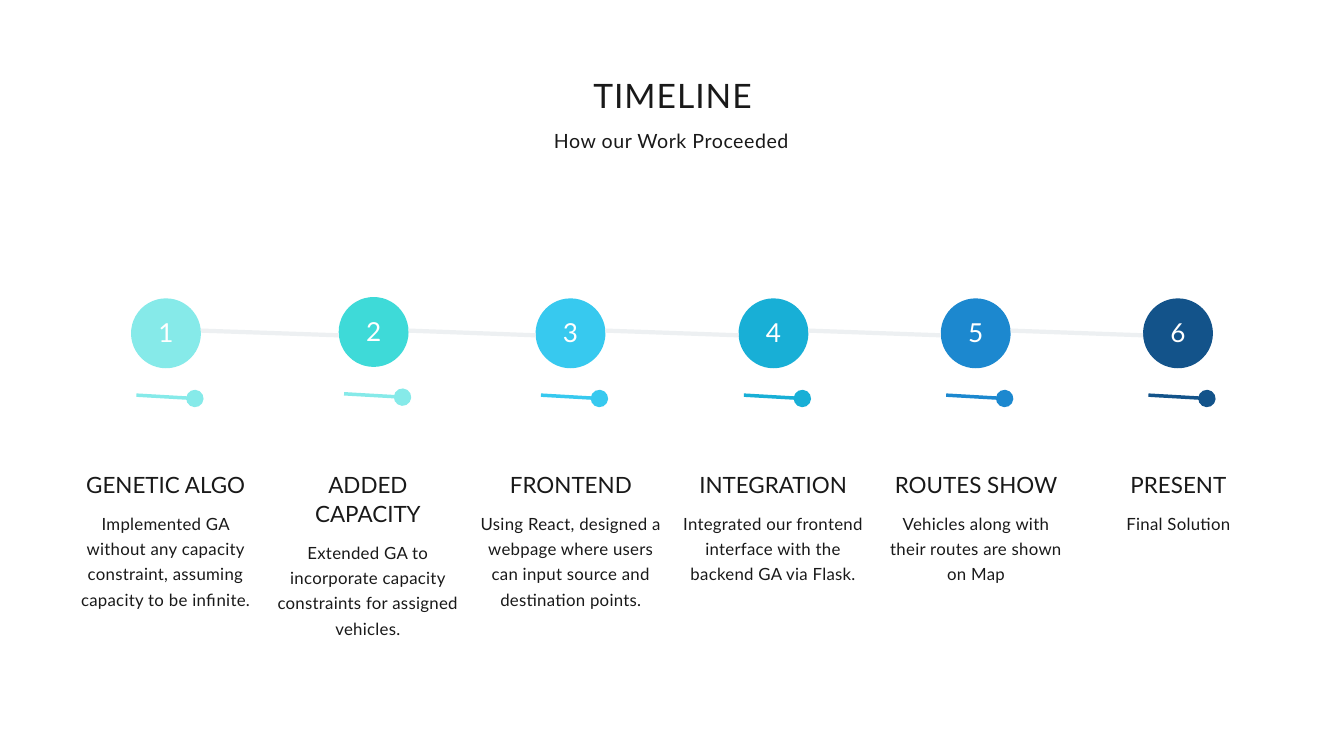
from pptx import Presentation
from pptx.dml.color import RGBColor
from pptx.enum.shapes import MSO_CONNECTOR, MSO_SHAPE
from pptx.enum.text import MSO_ANCHOR, MSO_AUTO_SIZE, PP_ALIGN
from pptx.oxml.ns import qn
from pptx.util import Emu, Pt
from lxml.etree import SubElement

EMU_PER_PX = 9144  # 100 px to the inch
DIAMETER = 104
INK, WHITE, TRACK = "191919", "FFFFFF", "EDF0F2"

# heading, description, circle colour, stroke colour, circle shift
STEPS = [
    ("GENETIC ALGO", "Implemented GA without any capacity constraint, assuming capacity to be infinite.",
     "86EAE9", "86EAE9", (0, 0)),
    ("ADDED CAPACITY", "Extended GA to incorporate capacity constraints for assigned vehicles.",
     "3EDAD8", "86EAE9", (8, -2)),
    ("FRONTEND", "Using React, designed a webpage where users can input source and destination points.",
     "37C9EF", "37C9EF", (0, 0)),
    ("INTEGRATION", "Integrated our frontend interface with the backend GA via Flask.",
     "18AFD6", "18AFD6", (0, 0)),
    ("ROUTES SHOW", "Vehicles along with their routes are shown on Map",
     "1C88CF", "1C88CF", (0, 0)),
    ("PRESENT", "Final Solution", "13538A", "13538A", (0, 0)),
]


def px(length):
    return Emu(round(length * EMU_PER_PX))


def color(value):
    return RGBColor.from_string(value)


def write(shape, text, size, leading, ink=INK, spacing=0, anchor=MSO_ANCHOR.TOP, bottom=0):
    frame = shape.text_frame
    frame.word_wrap = True
    frame.auto_size = MSO_AUTO_SIZE.NONE
    frame.vertical_anchor = anchor
    frame.margin_left = frame.margin_top = frame.margin_right = 0
    frame.margin_bottom = px(bottom)
    paragraph = frame.paragraphs[0]
    paragraph.alignment = PP_ALIGN.CENTER
    paragraph.line_spacing = Pt(leading)
    paragraph.space_before = Pt(0)
    run = paragraph.add_run()
    run.text = text
    run.font.name = "Lato"
    run.font.size = Pt(size)
    run.font.color.rgb = color(ink)
    if spacing:
        run.font._element.set("spc", str(round(spacing * 100)))


class TimelineSlide:
    def __init__(self, presentation):
        self.slide = presentation.slides.add_slide(presentation.slide_layouts[5])
        self.shapes = self.slide.shapes

    def title(self, text, left, top, width, height, **style):
        title = self.shapes.title
        title.left, title.top = px(left), px(top)
        title.width, title.height = px(width), px(height)
        write(title, text, **style)

    def text(self, text, left, top, width, height, **style):
        box = self.shapes.add_textbox(px(left), px(top), px(width), px(height))
        write(box, text, **style)

    def circle(self, text, left, top, fill):
        shape = self.shapes.add_shape(
            MSO_SHAPE.OVAL, px(left), px(top), px(DIAMETER), px(DIAMETER))
        shape.shadow.inherit = False
        shape.fill.solid()
        shape.fill.fore_color.rgb = color(fill)
        shape.line.fill.background()
        write(shape, text, size=28, leading=39.2, ink=WHITE,
              anchor=MSO_ANCHOR.MIDDLE, bottom=10)

    def line(self, start, end, ink, width, dot=False):
        connector = self.shapes.add_connector(
            MSO_CONNECTOR.STRAIGHT, *(px(value) for value in (*start, *end)))
        connector.line.color.rgb = color(ink)
        connector.line.width = Pt(width)
        if dot:
            SubElement(connector.line._get_or_add_ln(), qn("a:tailEnd"),
                       type="oval", w="lg", len="lg")
        SubElement(connector._element.spPr, qn("a:effectLst"))


def main():
    presentation = Presentation()
    presentation.slide_width, presentation.slide_height = px(2000), px(1125)
    timeline = TimelineSlide(presentation)

    # Title and subtitle
    timeline.title("TIMELINE", 360, 112, 1282, 60, size=36, leading=43.2, spacing=1.1)
    timeline.text("How our Work Proceeded", 358, 186, 1282, 39,
                  size=21, leading=29.4, spacing=0.6)

    # Steps: numbered circle, dotted stroke, heading and description
    circle_lefts = []
    for index, (heading, description, fill, stroke, (shift_x, shift_y)) in enumerate(STEPS):
        left = round(195 + 301.2 * index) + shift_x
        top = 444 + shift_y
        circle_lefts.append(left)
        timeline.circle(str(index + 1), left, top, fill)
        timeline.line((left + 8, top + 144), (left + 95, top + 149), stroke, 3.75, dot=True)

        column = round(112 + 301.4 * index)
        extra = 43 if heading == "ADDED CAPACITY" else 0  # heading on two lines
        timeline.text(heading, column, 697, 269, 42 + extra, size=24, leading=31.2)
        timeline.text(description, column, 757 + extra, 269, 147,
                      size=18, leading=27, spacing=0.3)

    # Track between neighbouring circles
    for left, following in zip(circle_lefts, circle_lefts[1:]):
        timeline.line((left + DIAMETER, 492), (following, 499), TRACK, 4.5)

    presentation.save("out.pptx")


if __name__ == "__main__":
    main()
